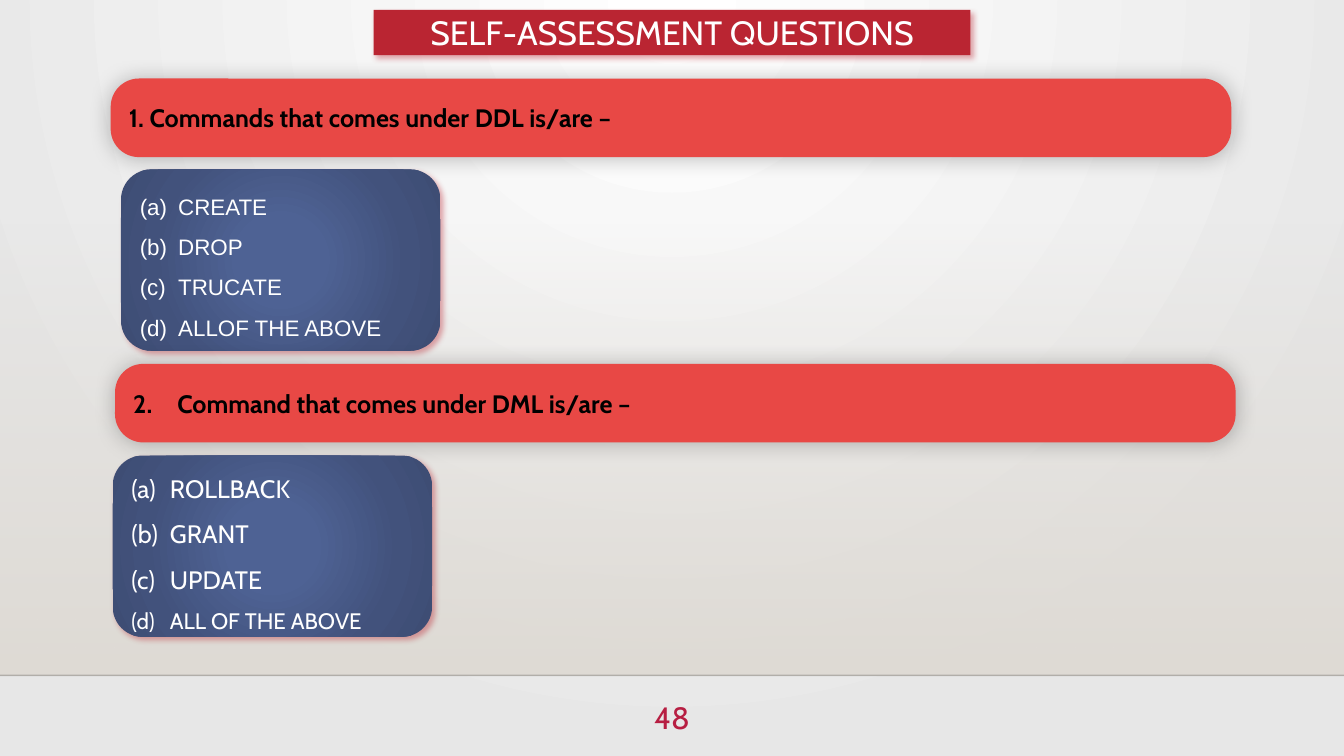
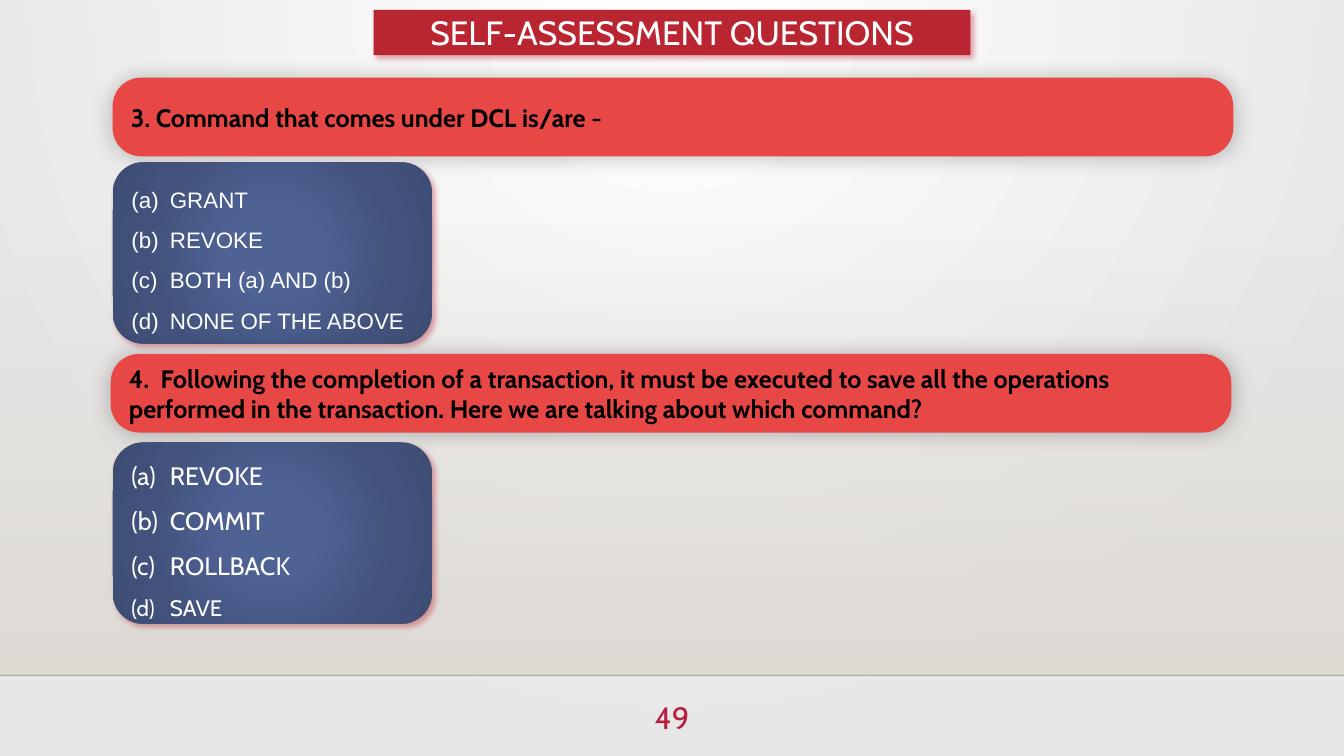
from lxml import etree
from pptx import Presentation
from pptx.dml.color import RGBColor
from pptx.enum import shapes, text
from pptx.oxml.ns import qn
from pptx.util import Cm, Pt

COLORS = {
    "white": "FFFFFF", "black": "000000", "mist": "E7E7E7", "sand": "DFDBD5",
    "rule": "000001", "number": "B71E42", "title": "BA2532", "prompt": "E84845",
    "blue": "4E6294", "navy": "42527C", "deep": "3E4D74",
}
RGB = {name: RGBColor.from_string(value) for name, value in COLORS.items()}
HEADING_FONT = "Cabin"
WIDTH, HEIGHT = Cm(33.87), Cm(19.05)
BAND_TOP, BAND_BOTTOM = Cm(5.61), Cm(17.02)
TITLE_WIDTH, TITLE_HEIGHT = Cm(15.04), Cm(1.14)
NUMBER_WIDTH = Cm(2.26)
INDENT = Cm(0.97)

# Each question: prompt, its list number (None when typed in the text), prompt
# position, options, options position, option font and option sizes
PAGES = [
    ("48", [
        ("1. Commands that comes under DDL is/are –", None, (2.79, 1.98),
         ["CREATE", "DROP", "TRUCATE", "ALLOF THE ABOVE"], (3.05, 4.27),
         "Arial", [16, 16, 16, 16]),
        (" Command that comes under DML is/are –", 2, (2.9, 9.17),
         ["ROLLBACK", "GRANT", "UPDATE", "ALL OF THE ABOVE"], (2.84, 11.48),
         HEADING_FONT, [18, 18, 18, 16]),
    ]),
    ("49", [
        ("3. Command that comes under DCL is/are -", None, (2.84, 1.96),
         ["GRANT", "REVOKE", "BOTH (a) AND (b)", "NONE OF THE ABOVE"], (2.84, 4.09),
         "Arial", [16, 16, 16, 16]),
        ("4.  Following the completion of a transaction, it must be executed to save "
         "all the operations performed in the transaction. Here we are talking about "
         "which command?", None, (2.79, 8.92),
         ["REVOKE", "COMMIT", "ROLLBACK", "SAVE"], (2.84, 11.15),
         HEADING_FONT, [18, 18, 18, 16]),
    ]),
]


def paint_gradient(holder, stops, focus=None):
    """Swap the solid fill in holder for a gradient: circular with a focus, else downward."""
    gradient = etree.Element(qn("a:gradFill"), rotWithShape="1")
    stop_list = etree.SubElement(gradient, qn("a:gsLst"))
    for position, color, opacity in stops:
        stop = etree.SubElement(stop_list, qn("a:gs"), pos=str(position * 1000))
        tint = etree.SubElement(stop, qn("a:srgbClr"), val=COLORS[color])
        etree.SubElement(tint, qn("a:alpha"), val=str(opacity * 1000))
    if focus:
        circle = etree.SubElement(gradient, qn("a:path"), path="circle")
        sides = {side: str(value * 1000) for side, value in zip("ltrb", focus)}
        etree.SubElement(circle, qn("a:fillToRect"), **sides)
    else:
        etree.SubElement(gradient, qn("a:lin"), ang="5400000", scaled="0")
    holder.replace(holder.find(qn("a:solidFill")), gradient)


def style_panel(box, fill, shadow, opacity, blur, distance, angle):
    """Fill a box, drop its outline, cast an outer shadow and centre its text vertically."""
    box.fill.solid()
    box.fill.fore_color.rgb = RGB[fill]
    box.line.fill.background()
    etree.SubElement(box.element.spPr, qn("a:effectLst"))
    cast = etree.SubElement(
        box.element.spPr.find(qn("a:effectLst")), qn("a:outerShdw"),
        blurRad=str(Pt(blur)), dist=str(Pt(distance)), dir=str(angle * 60000),
        algn="ctr", rotWithShape="0")
    tint = etree.SubElement(cast, qn("a:srgbClr"), val=COLORS[shadow])
    etree.SubElement(tint, qn("a:alpha"), val=str(opacity * 1000))
    frame = box.text_frame
    frame.word_wrap = True
    frame.auto_size = text.MSO_AUTO_SIZE.NONE
    frame.vertical_anchor = text.MSO_ANCHOR.MIDDLE


RED_SHADOW = ("title", 40, 4, 3, 45)
SOFT_SHADOW = ("black", 25, 15, 0, 0)

deck = Presentation()
deck.slide_width, deck.slide_height = WIDTH, HEIGHT
layout = deck.slide_layouts[5]
pages = [deck.slides.add_slide(layout) for _ in PAGES]

# Shared backdrop, moved to the layout
layout.background.fill.solid()
paint_gradient(layout.element.find(".//" + qn("p:bgPr")),
               [(0, "white", 100), (100, "mist", 100)], (43, 0, 43, 100))

band = pages[0].shapes.add_shape(
    shapes.MSO_SHAPE.RECTANGLE, 0, BAND_TOP, WIDTH, BAND_BOTTOM - BAND_TOP)
band.shadow.inherit = False
band.line.fill.background()
band.fill.solid()
paint_gradient(band.element.spPr, [(0, "sand", 0), (100, "sand", 100)])

rule = pages[0].shapes.add_connector(
    shapes.MSO_CONNECTOR.STRAIGHT, 0, BAND_BOTTOM, WIDTH, BAND_BOTTOM)
rule.line.width = Pt(1)
rule.line.color.rgb = RGB["rule"]
rule_tint = rule.element.spPr.find(".//" + qn("a:srgbClr"))
etree.SubElement(rule_tint, qn("a:alpha"), val="20000")
etree.SubElement(rule.element.spPr, qn("a:effectLst"))

for index, backdrop in enumerate([band, rule]):
    layout.shapes.element.insert(2 + index, backdrop.element)

for page, (number, questions) in zip(pages, PAGES):
    number_box = page.shapes.add_textbox(
        (WIDTH - NUMBER_WIDTH) // 2, Cm(17.48), NUMBER_WIDTH, Cm(1.4))
    number_box.text_frame.word_wrap = True
    number_box.text_frame.text = number

    title = page.shapes.title
    title.left, title.top = (WIDTH - TITLE_WIDTH) // 2, Cm(0.25)
    title.width, title.height = TITLE_WIDTH, TITLE_HEIGHT
    outline = etree.SubElement(title.element.spPr, qn("a:prstGeom"), prst="roundRect")
    etree.SubElement(outline, qn("a:avLst"))
    style_panel(title, "title", *RED_SHADOW)
    title.text_frame.text = "SELF-ASSESSMENT QUESTIONS"

    for box, size, color in [(number_box, 22, "number"), (title, 24, "white")]:
        para = box.text_frame.paragraphs[0]
        para.alignment = text.PP_ALIGN.CENTER
        font = para.runs[0].font
        font.name, font.size, font.color.rgb = HEADING_FONT, Pt(size), RGB[color]

    for prompt, start, prompt_at, options, options_at, option_font, sizes in questions:
        prompt_box = page.shapes.add_shape(
            shapes.MSO_SHAPE.ROUNDED_RECTANGLE, *map(Cm, prompt_at), Cm(28.24), Cm(1.98))
        prompt_box.adjustments[0] = 0.36
        style_panel(prompt_box, "prompt", *SOFT_SHADOW)
        prompt_box.text_frame.text = prompt

        options_box = page.shapes.add_shape(
            shapes.MSO_SHAPE.ROUNDED_RECTANGLE, *map(Cm, options_at), Cm(8.05), Cm(4.57))
        style_panel(options_box, "blue", *RED_SHADOW)
        paint_gradient(
            options_box.element.spPr,
            [(0, "blue", 100), (23, "blue", 100), (69, "navy", 100), (97, "deep", 100)],
            (50, 50, 50, 50))
        options_box.text_frame.text = "\n".join(options)

        for box, name, points, color, scheme, first, spacing in [
            (prompt_box, HEADING_FONT, [18], "black", "arabicPeriod", start, 1.0),
            (options_box, option_font, sizes, "white", "alphaLcParenBoth", 1, 1.5),
        ]:
            for para, size in zip(box.text_frame.paragraphs, points):
                para.alignment = text.PP_ALIGN.LEFT
                para.line_spacing = spacing
                if first:
                    properties = para._p.get_or_add_pPr()
                    properties.set("marL", str(INDENT))
                    properties.set("indent", str(-INDENT))
                    etree.SubElement(properties, qn("a:buAutoNum"),
                                     type=scheme, startAt=str(first))
                font = para.runs[0].font
                font.name, font.size, font.color.rgb = name, Pt(size), RGB[color]
                font.bold = box is prompt_box

deck.save("out.pptx")
